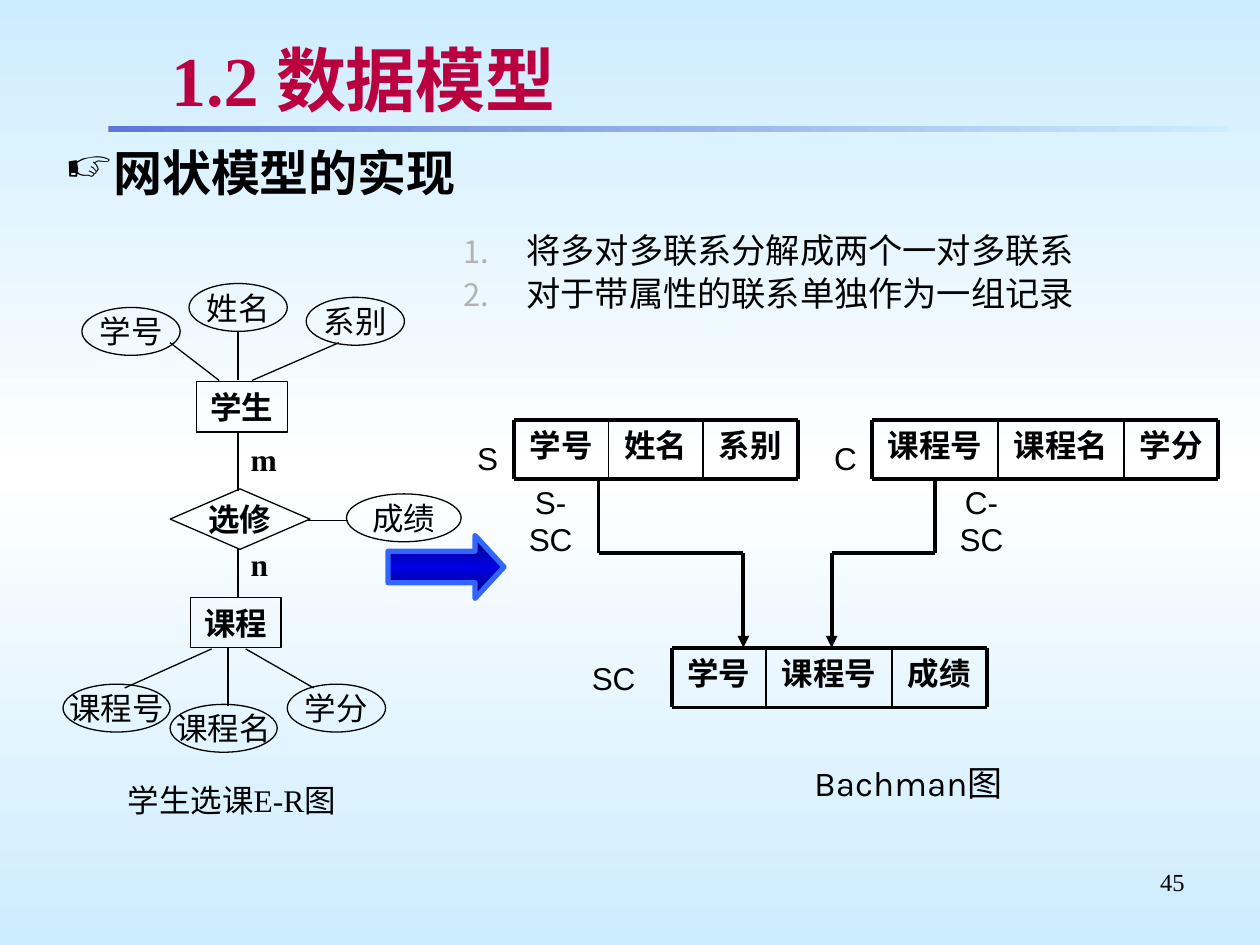
from copy import deepcopy
from dataclasses import dataclass
from itertools import accumulate

from lxml import etree
from pptx import Presentation
from pptx.dml.color import RGBColor
from pptx.enum.shapes import MSO_CONNECTOR, MSO_SHAPE as SHAPE
from pptx.enum.text import MSO_ANCHOR as ANCHOR, PP_ALIGN as ALIGN
from pptx.oxml.ns import qn
from pptx.util import Inches, Pt

COLORS = {
    "black": "000000", "title": "BA003E", "shadow": "C0C0C0", "number": "B2B2B2",
    "sky": "CCECFF", "white": "FFFFFF", "rule": "5F76D7",
    "navy": "00006B", "blue": "0000E8", "edge": "3366FF",
}
SERIF, SANS = "Times New Roman", "Arial"
ROW_H = 0.475


@dataclass
class Node:
    text: str
    kind: SHAPE
    x: float
    y: float
    w: float
    h: float
    bold: bool = False


@dataclass
class Label:
    text: str
    x: float
    y: float
    w: float = 0.58
    h: float = 0.42
    font: str = SANS
    size: float = 18
    bold: bool = False
    align: ALIGN = ALIGN.CENTER
    anchor: ANCHOR = ANCHOR.MIDDLE
    wrap: bool = False
    color: str = "black"


@dataclass
class Record:
    x: float
    y: float
    fields: tuple[tuple[str, float], ...]


@dataclass
class Link:
    x1: float
    y1: float
    x2: float
    y2: float
    width: float = 0.75
    arrow: bool = False


def rgb(name: str) -> RGBColor:
    return RGBColor.from_string(COLORS[name])


def add_sub(parent, tag: str, **attrs: str):
    return etree.SubElement(parent, qn(tag), attrs)


def set_gradient(owner, fill, names: list[str], angle: int) -> None:
    fill.gradient()
    grad = next(owner.iter(qn("a:gradFill")))
    stops = grad.find(qn("a:gsLst"))
    while len(stops) < len(names):
        stops.append(deepcopy(stops[0]))
    for i, (stop, name) in enumerate(zip(stops, names)):
        for child in list(stop):
            stop.remove(child)
        stop.set("pos", str(100000 * i // (len(names) - 1)))
        add_sub(stop, "a:srgbClr", val=COLORS[name])
    grad.find(qn("a:lin")).set("ang", str(angle * 60000))


def set_font(p, font: str, size: float, bold: bool = False, color: str = "black") -> None:
    p.font.name, p.font.size, p.font.bold = font, Pt(size), bold
    p.font.color.rgb = rgb(color)


def set_bullet(p, indent: float, size: int, color: str, tag: str, **attrs: str) -> None:
    pPr = p._p.get_or_add_pPr()
    pPr.set("marL", str(Inches(indent)))
    pPr.set("indent", str(-Inches(indent)))
    add_sub(add_sub(pPr, "a:buClr"), "a:srgbClr", val=COLORS[color])
    add_sub(pPr, "a:buSzPct", val=str(size * 1000))
    add_sub(pPr, tag, **attrs)


def add_label(s, label: Label):
    sp = s.shapes.add_textbox(*map(Inches, (label.x, label.y, label.w, label.h)))
    tf = sp.text_frame
    tf.word_wrap, tf.vertical_anchor = label.wrap, label.anchor
    p = tf.paragraphs[0]
    p.text, p.alignment = label.text, label.align
    set_font(p, label.font, label.size, label.bold, label.color)
    return sp


def add_node(s, node: Node) -> None:
    sp = s.shapes.add_shape(node.kind, *map(Inches, (node.x, node.y, node.w, node.h)))
    sp.shadow.inherit = False
    sp.fill.background()
    sp.line.color.rgb, sp.line.width = rgb("black"), Pt(0.75)
    tf = sp.text_frame
    tf.word_wrap, tf.vertical_anchor = False, ANCHOR.MIDDLE
    p = tf.paragraphs[0]
    p.text, p.alignment = node.text, ALIGN.CENTER
    set_font(p, SERIF, 18, node.bold)


def add_link(s, link: Link) -> None:
    ends = map(Inches, (link.x1, link.y1, link.x2, link.y2))
    c = s.shapes.add_connector(MSO_CONNECTOR.STRAIGHT, *ends)
    c.line.color.rgb, c.line.width = rgb("black"), Pt(link.width)
    if link.arrow:
        add_sub(c.line._get_or_add_ln(), "a:tailEnd", type="triangle")
    add_sub(c._element.spPr, "a:effectLst")


def add_record(s, rec: Record) -> None:
    edges = list(accumulate((w for _, w in rec.fields), initial=rec.x))
    left, right, bottom = edges[0], edges[-1], rec.y + ROW_H
    for x, (text, w) in zip(edges, rec.fields):
        add_label(s, Label(text, x, rec.y, w, ROW_H, SERIF, bold=True,
                           anchor=ANCHOR.TOP, wrap=True))
    for y in (rec.y, bottom):
        add_link(s, Link(left, y, right, y, 2.25))
    for x in edges:
        add_link(s, Link(x, rec.y, x, bottom, 2.25 if x in (left, right) else 1))


def main() -> None:
    prs = Presentation()
    prs.slide_width, prs.slide_height = Inches(10), Inches(7.5)
    s = prs.slides.add_slide(prs.slide_layouts[6])
    set_gradient(s._element, s.background.fill, ["sky", "white", "sky"], 90)

    rule = s.shapes.add_shape(SHAPE.RECTANGLE, *map(Inches, (0.86, 1, 8.89, 0.05)))
    rule.shadow.inherit = False
    rule.line.fill.background()
    set_gradient(rule._element, rule.fill, ["rule", "sky"], 0)

    add_label(s, Label("45", 7.17, 6.83, 2.33, 0.52, SERIF, 14, align=ALIGN.RIGHT,
                       anchor=ANCHOR.TOP, wrap=True))
    title = add_label(s, Label("1.2 数据模型", 1.26, 0.29, 8.24, 0.67, SERIF, 40, True,
                               ALIGN.LEFT, wrap=True, color="title"))
    rPr = title.text_frame.paragraphs[0].runs[0]._r.get_or_add_rPr()
    shadow = add_sub(add_sub(rPr, "a:effectLst"), "a:outerShdw", dist="35921", dir="2700000")
    add_sub(shadow, "a:srgbClr", val=COLORS["shadow"])

    heading = s.shapes.add_textbox(*map(Inches, (0.42, 1.08, 9.25, 0.6)))
    heading.text_frame.word_wrap = True
    p = heading.text_frame.paragraphs[0]
    p.text = "网状模型的实现"
    set_bullet(p, 0.38, 95, "black", "a:buChar", char="☞")
    set_font(p, SERIF, 28, True)

    steps = s.shapes.add_textbox(*map(Inches, (3.58, 1.83, 6, 0.83)))
    tf = steps.text_frame
    tf.word_wrap = True
    tf.text = "将多对多联系分解成两个一对多联系\n对于带属性的联系单独作为一组记录"
    for i, p in enumerate(tf.paragraphs):
        p.line_spacing, p.space_before = 0.8, Pt(5.8 if i else 0)
        set_bullet(p, 0.5, 90, "number", "a:buAutoNum", type="arabicPeriod")
        set_font(p, SANS, 19.6)

    nodes = [
        Node("课程", SHAPE.RECTANGLE, 1.51, 4.74, 0.72, 0.4, True),
        Node("选修", SHAPE.DIAMOND, 1.35, 3.88, 1.11, 0.48, True),
        Node("学生", SHAPE.RECTANGLE, 1.56, 3.03, 0.72, 0.4, True),
    ]
    attributes = [
        ("成绩", 2.75, 3.92, 0.91), ("姓名", 1.5, 2.25, 0.78), ("系别", 2.43, 2.36, 0.78),
        ("课程号", 0.5, 5.43, 0.85), ("学号", 0.65, 2.44, 0.78), ("学分", 2.28, 5.43, 0.78),
        ("课程名", 1.35, 5.59, 0.85),
    ]
    nodes += [Node(text, SHAPE.OVAL, x, y, w, 0.38) for text, x, y, w in attributes]
    for node in nodes:
        add_node(s, node)

    for text, y in (("m", 3.44), ("n", 4.28)):
        add_label(s, Label(text, 1.89, y, 0.33, 0.4, SERIF, bold=True, align=ALIGN.LEFT,
                           anchor=ANCHOR.TOP))

    er_links = [
        (1.81, 5.14, 1.81, 5.6), (2.43, 4.13, 2.76, 4.13), (0.99, 5.46, 1.68, 5.15),
        (1.95, 5.15, 2.49, 5.46), (1.89, 3.44, 1.89, 3.9), (1.89, 4.36, 1.89, 4.74),
        (1.89, 2.63, 1.89, 3.02), (1.35, 2.72, 1.74, 3.02), (2, 3.02, 2.69, 2.72),
    ]
    for ends in er_links:
        add_link(s, Link(*ends))

    arrow = s.shapes.add_shape(SHAPE.RIGHT_ARROW, *map(Inches, (3.08, 4.25, 0.92, 0.5)))
    arrow.shadow.inherit = False
    arrow.adjustments[1] = 0.46
    set_gradient(arrow._element, arrow.fill, ["navy", "blue", "navy"], 90)
    arrow.line.color.rgb, arrow.line.width = rgb("edge"), Pt(3)

    for rec in (
        Record(4.08, 3.33, (("学号", 0.75), ("姓名", 0.75), ("系别", 0.75))),
        Record(6.92, 3.33, (("课程号", 1), ("课程名", 1), ("学分", 0.75))),
        Record(5.33, 5.14, (("学号", 0.75), ("课程号", 1), ("成绩", 0.75))),
    ):
        add_record(s, rec)

    for start, end in ((4.75, 5.9), (7.42, 6.6)):
        add_link(s, Link(start, 3.81, start, 4.39, 2.25))
        add_link(s, Link(start, 4.39, end, 4.39, 2.25))
        add_link(s, Link(end, 4.39, end, 5.14, 2.25, True))

    for label in (
        Label("S-SC", 4.08, 3.92), Label("C-SC", 7.5, 3.92), Label("SC", 4.58, 5.17),
        Label("S", 3.58, 3.42), Label("C", 6.42, 3.42),
        Label("Bachman图", 5.75, 6, 2.92, font="Karla", size=20),
        Label("学生选课E-R图", 0.73, 6.12, 2.22, 0.46, SERIF),
    ):
        add_label(s, label)

    prs.save("out.pptx")


if __name__ == "__main__":
    main()
